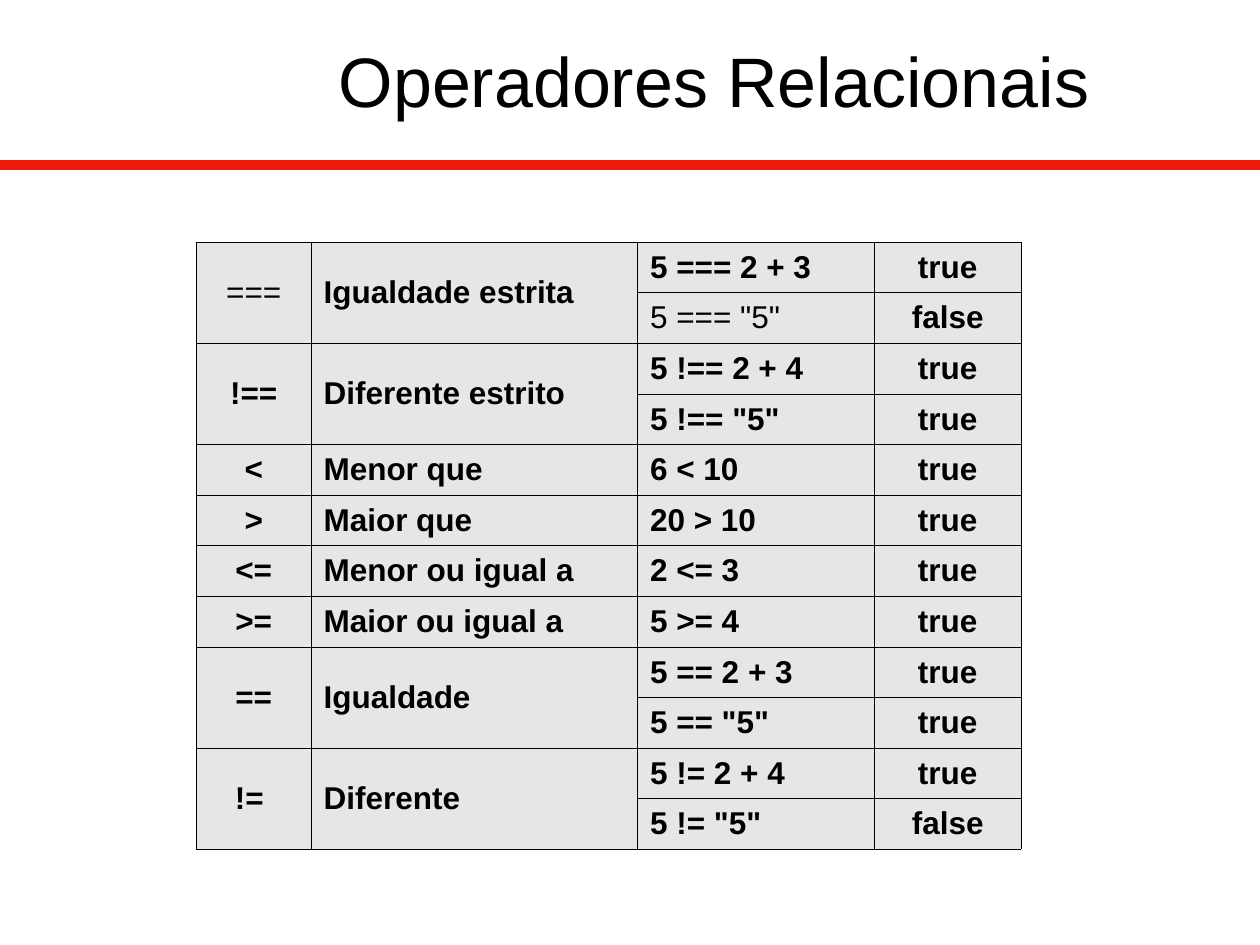
"""Build the slide about relational operators."""
from dataclasses import dataclass

from lxml import etree
from pptx import Presentation
from pptx.dml.color import RGBColor
from pptx.enum.shapes import MSO_CONNECTOR
from pptx.enum.text import MSO_ANCHOR, MSO_AUTO_SIZE, PP_ALIGN
from pptx.oxml import parse_xml
from pptx.oxml.ns import nsdecls, qn
from pptx.slide import Slide
from pptx.table import Table, _Cell
from pptx.util import Cm, Pt

CENTER, LEFT = PP_ALIGN.CENTER, PP_ALIGN.LEFT
MIDDLE = MSO_ANCHOR.MIDDLE
COLORS = {"text": "000000", "rule": "ED1909", "cell": "E6E6E6", "border": "000000"}
FONT = "Arial"
COLUMN_WIDTHS = (2.31, 6.58, 4.78, 2.95)
COLUMN_ALIGNS = (CENTER, LEFT, LEFT, CENTER)
ROW_HEIGHT = 1.02
REGULAR_TEXTS = (" === ", '5 === "5"')


@dataclass(frozen=True)
class Operator:
    symbol: str
    meaning: str
    examples: tuple[tuple[str, str], ...]


OPERATORS = (
    Operator(" === ", "Igualdade estrita", (("5 === 2 + 3", "true"), ('5 === "5"', "false"))),
    Operator("!==", "Diferente estrito", (("5 !== 2 + 4", "true"), ('5 !== "5"', "true"))),
    Operator("<", "Menor que", (("6 < 10", "true"),)),
    Operator(">", "Maior que", (("20 > 10", "true"),)),
    Operator("<=", "Menor ou igual a", (("2 <= 3", "true"),)),
    Operator(">=", "Maior ou igual a", (("5 >= 4", "true"),)),
    Operator(" == ", "Igualdade", (("5 == 2 + 3", "true"), ('5 == "5"', "true"))),
    Operator("!= ", "Diferente", (("5 != 2 + 4", "true"), ('5 != "5"', "false"))),
)


def color(name: str) -> RGBColor:
    return RGBColor.from_string(COLORS[name])


def add_title(page: Slide, text: str) -> None:
    title = page.shapes.title
    title.left, title.top, title.width, title.height = Cm(3.89), Cm(-0.23), Cm(21), Cm(3.66)
    frame = title.text_frame
    frame.text = text
    frame.vertical_anchor = MIDDLE
    frame.auto_size = MSO_AUTO_SIZE.SHAPE_TO_FIT_TEXT
    write_style(frame.paragraphs[0], 40, CENTER, False)


def write_style(para, size: float, align: PP_ALIGN, bold: bool) -> None:
    para.alignment = align
    para.font.name, para.font.size, para.font.bold = FONT, Pt(size), bold
    para.font.color.rgb = color("text")


def add_rule(page: Slide) -> None:
    rule = page.shapes.add_connector(MSO_CONNECTOR.STRAIGHT, Cm(0), Cm(3.33), Cm(25.4), Cm(3.33))
    rule.line.color.rgb = color("rule")
    rule.line.width = Pt(6)
    etree.SubElement(rule._element.spPr, qn("a:effectLst"))


def format_cell(cell: _Cell) -> None:
    properties = cell._tc.get_or_add_tcPr()
    for side in ("lnL", "lnR", "lnT", "lnB"):
        properties.append(parse_xml(
            f'<a:{side} {nsdecls("a")} w="{Pt(0.28)}"><a:solidFill>'
            f'<a:srgbClr val="{COLORS["border"]}"/></a:solidFill></a:{side}>'))
    cell.fill.solid()
    cell.fill.fore_color.rgb = color("cell")
    cell.vertical_anchor = MIDDLE


def write_cell(table: Table, row: int, column: int, text: str) -> None:
    cell = table.cell(row, column)
    cell.text = text
    write_style(cell.text_frame.paragraphs[0], 18, COLUMN_ALIGNS[column], text not in REGULAR_TEXTS)


def add_operator_table(page: Slide) -> None:
    row_count = sum(len(operator.examples) for operator in OPERATORS)
    table = page.shapes.add_table(
        row_count, len(COLUMN_WIDTHS), Cm(3.96), Cm(4.88),
        Cm(sum(COLUMN_WIDTHS)), Cm(ROW_HEIGHT * row_count)).table
    table.first_row = table.horz_banding = False
    for column, width in zip(table.columns, COLUMN_WIDTHS):
        column.width = Cm(width)
    for table_row in table.rows:
        table_row.height = Cm(ROW_HEIGHT)
    for cell in table.iter_cells():
        format_cell(cell)
    row = 0
    for operator in OPERATORS:
        last = row + len(operator.examples) - 1
        for column, text in enumerate((operator.symbol, operator.meaning)):
            if last > row:
                table.cell(row, column).merge(table.cell(last, column))
            write_cell(table, row, column, text)
        for offset, example in enumerate(operator.examples):
            for column, text in enumerate(example, start=2):
                write_cell(table, row + offset, column, text)
        row = last + 1


def main() -> None:
    deck = Presentation()
    deck.slide_width, deck.slide_height = Cm(25.4), Cm(19.05)
    page = deck.slides.add_slide(deck.slide_layouts.get_by_name("Title Only"))
    add_rule(page)
    add_title(page, "Operadores Relacionais")
    add_operator_table(page)
    deck.save("out.pptx")


if __name__ == "__main__":
    main()
